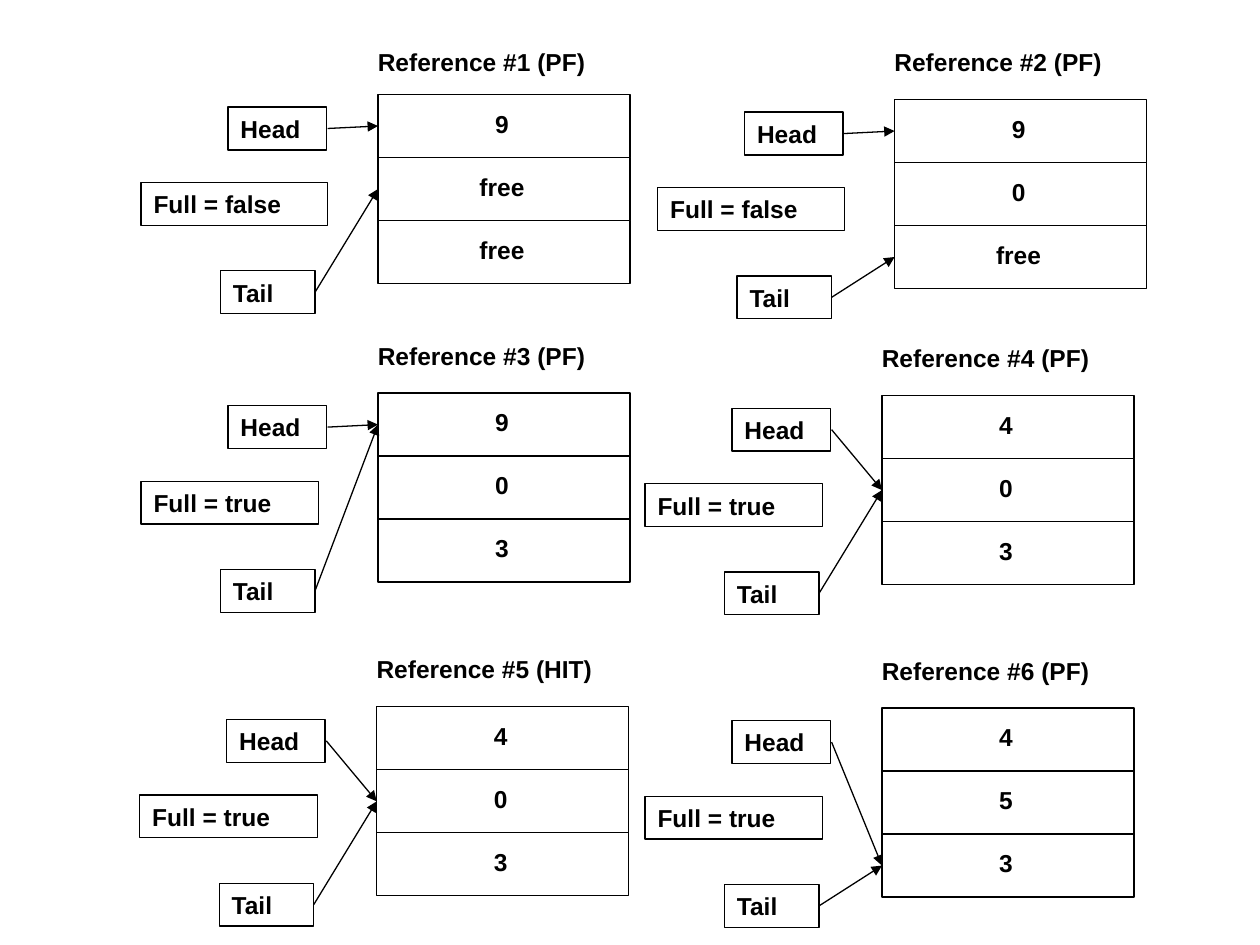
from pptx import Presentation
from pptx.dml.color import RGBColor
from pptx.enum.shapes import MSO_CONNECTOR, MSO_SHAPE
from pptx.enum.text import MSO_ANCHOR, PP_ALIGN
from pptx.oxml.ns import qn
from pptx.util import Inches, Pt
from lxml import etree

RECT = MSO_SHAPE.RECTANGLE
LINE = MSO_CONNECTOR.STRAIGHT
MIDDLE = MSO_ANCHOR.MIDDLE
LEFT, CENTER = PP_ALIGN.LEFT, PP_ALIGN.CENTER

INK = "000000"
CELL_W, CELL_H = 2, 0.5
LABEL_H = 0.34

# queue left, queue top, title top, title, frames, full flag, head row, tail row
STEPS = [
    (3, 0.75, 0.32, "Reference #1 (PF)", ("9", "free", "free"), False, 0, 1),
    (7.1, 0.79, 0.32, "Reference #2 (PF)", ("9", "0", "free"), False, 0, 2),
    (3, 3.12, 2.65, "Reference #3 (PF)", ("9", "0", "3"), True, 0, 0),
    (7, 3.14, 2.67, "Reference #4 (PF)", ("4", "0", "3"), True, 1, 1),
    (2.99, 5.61, 5.14, "Reference #5 (HIT)", ("4", "0", "3"), True, 1, 1),
    (7, 5.62, 5.15, "Reference #6 (PF)", ("4", "5", "3"), True, 2, 2),
]


def color(code):
    return RGBColor.from_string(code)


def write(shape, text, align):
    frame = shape.text_frame
    frame.word_wrap = True
    frame.vertical_anchor = MIDDLE
    para = frame.paragraphs[0]
    para.alignment = align
    run = para.add_run()
    run.text = text
    font = run.font
    font.name, font.size, font.bold = "Arial", Pt(14), True
    font.color.rgb = color(INK)


def add_box(slide, x, y, w, h, text, align=LEFT):
    box = slide.shapes.add_shape(RECT, Inches(x), Inches(y), Inches(w), Inches(h))
    box.shadow.inherit = False
    box.fill.background()
    box.line.color.rgb = color(INK)
    box.line.width = Pt(0.75)
    write(box, text, align)
    return box


def add_arrow(slide, x1, y1, x2, y2):
    arrow = slide.shapes.add_connector(
        LINE, Inches(x1), Inches(y1), Inches(x2), Inches(y2))
    arrow.line.color.rgb = color(INK)
    arrow.line.width = Pt(0.75)
    props = arrow._element.spPr
    tip = etree.SubElement(props.find(qn("a:ln")), qn("a:tailEnd"))
    tip.set("type", "triangle")
    etree.SubElement(props, qn("a:effectLst"))


def add_step(slide, x, y, top, title, frames, full, head, tail):
    # Queue of page frames, text set slightly above and left of centre
    for row, value in enumerate(frames):
        cell = add_box(slide, x, y + row * CELL_H, CELL_W, CELL_H, value, CENTER)
        cell.text_frame.margin_right = Inches(0.13)
        cell.text_frame.margin_bottom = Inches(0.09)

    # Head and tail pointers
    for name, left, drop, width, gap, row in (
            ("Head", 1.19, 0.1, 0.78, 0.4, head),
            ("Tail", 1.25, 1.4, 0.75, 0.5, tail)):
        add_box(slide, x - left, y + drop, width, LABEL_H, name)
        add_arrow(slide, x - gap, y + drop + LABEL_H / 2,
                  x, y + (row + 0.5) * CELL_H)

    # Full flag
    flag, width = ("Full = true", 1.41) if full else ("Full = false", 1.48)
    add_box(slide, x - 1.88, y + 0.7, width, LABEL_H, flag)

    # Title
    label = slide.shapes.add_textbox(
        Inches(x - 0.1), Inches(top), Inches(2.1), Inches(LABEL_H))
    write(label, title, LEFT)


def main():
    deck = Presentation()
    deck.slide_width, deck.slide_height = Inches(10), Inches(7.5)
    slide = deck.slides.add_slide(deck.slide_layouts[6])
    for step in STEPS:
        add_step(slide, *step)
    deck.save("out.pptx")


if __name__ == "__main__":
    main()
